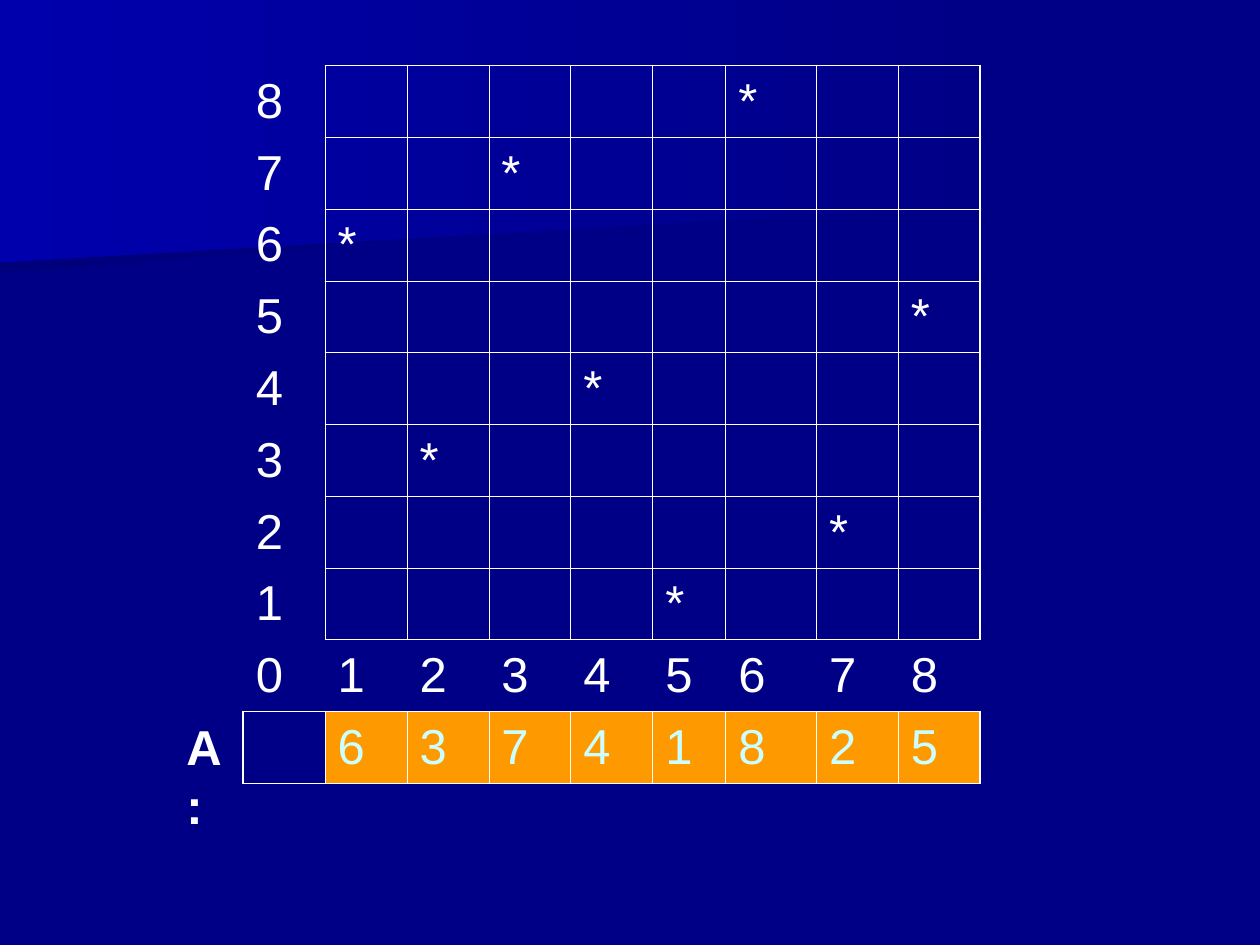
from dataclasses import dataclass

import pptx
import pptx.dml.color
import pptx.enum.text
import pptx.oxml
import pptx.oxml.ns
import pptx.util
from pptx.util import Inches


@dataclass(frozen=True)
class Theme:
    background: str = "000086"
    shade: str = "00007D"
    glow: str = "0000AC"
    text: str = "FFFFFF"
    value_text: str = "CCFFFF"
    value_fill: str = "FF9900"
    border: str = "FFFFFF"
    font: str = "Arial"
    size: int = 28
    thin: float = 0.45
    thick: float = 1.08


THEME = Theme()
VALUES = [6, 3, 7, 4, 1, 8, 2, 5]
COUNT = len(VALUES)
ROWS, COLUMNS = COUNT + 2, COUNT + 1
LABEL_ROW, ARRAY_ROW = COUNT, COUNT + 1
COLUMN_WIDTHS = [0.65] * 5 + [0.58, 0.72, 0.65, 0.65]
TABLE_HEIGHT = 5.7
NEIGHBOURS = {"lnL": (0, -1), "lnR": (0, 1), "lnT": (-1, 0), "lnB": (1, 0)}


def rgb(color):
    return pptx.dml.color.RGBColor.from_string(color)


def add_gradient_outline(slide, points, right_color, left_color):
    corners = [(Inches(x), Inches(y)) for x, y in points]
    builder = slide.shapes.build_freeform(*corners[0])
    builder.add_line_segments(corners[1:], close=True)
    shape = builder.convert_to_shape()
    shape.shadow.inherit = False
    shape.line.fill.background()
    shape.fill.gradient()
    shape.fill.gradient_angle = 180
    for stop, color in zip(shape.fill.gradient_stops, (right_color, left_color)):
        stop.color.rgb = rgb(color)


def add_run(paragraph, text, color, bold=False):
    run = paragraph.add_run()
    run.text = text
    run.font.name = THEME.font
    run.font.size = pptx.util.Pt(THEME.size)
    run.font.bold = bold
    run.font.color.rgb = rgb(color)


def is_boxed(row, column):
    """Tell whether a cell belongs to the plot grid or to the array."""
    in_grid = 0 <= row < LABEL_ROW and 1 <= column < COLUMNS
    return in_grid or (row == ARRAY_ROW and 0 <= column < COLUMNS)


def border_width(row, column, side):
    """Thick on the table's rim, thin beside any boxed cell, else 0."""
    down, across = NEIGHBOURS[side]
    next_row, next_column = row + down, column + across
    inside = 0 <= next_row < ROWS and 0 <= next_column < COLUMNS
    if is_boxed(row, column):
        return THEME.thin if inside else THEME.thick
    return THEME.thin if is_boxed(next_row, next_column) else 0


def set_borders(cell, row, column):
    properties = cell._tc.get_or_add_tcPr()
    namespace = pptx.oxml.ns.nsdecls("a")
    for side in NEIGHBOURS:
        width = border_width(row, column, side)
        fill = (f'<a:solidFill><a:srgbClr val="{THEME.border}"/></a:solidFill>'
                if width else "<a:noFill/>")
        properties.append(pptx.oxml.parse_xml(
            f'<a:{side} {namespace} w="{pptx.util.Pt(width)}">{fill}</a:{side}>'))


def cell_text(row, column):
    if row == ARRAY_ROW:
        return str(VALUES[column - 1]) if column else ""
    if row == LABEL_ROW:
        return str(column)
    level = COUNT - row
    if column == 0:
        return str(level)
    return "*" if VALUES[column - 1] == level else ""


def add_plot_table(slide):
    frame = slide.shapes.add_table(
        ROWS, COLUMNS, Inches(1.93), Inches(0.52),
        Inches(sum(COLUMN_WIDTHS)), Inches(TABLE_HEIGHT))
    table = frame.table
    table.first_row = table.horz_banding = False
    for table_column, width in zip(table.columns, COLUMN_WIDTHS):
        table_column.width = Inches(width)
    for row in range(ROWS):
        table.rows[row].height = Inches(TABLE_HEIGHT / ROWS)
        for column in range(COLUMNS):
            cell = table.cell(row, column)
            is_value = row == ARRAY_ROW and column > 0
            set_borders(cell, row, column)
            if is_value:
                cell.fill.solid()
                cell.fill.fore_color.rgb = rgb(THEME.value_fill)
            else:
                cell.fill.background()
            cell.vertical_anchor = pptx.enum.text.MSO_ANCHOR.MIDDLE
            text = cell_text(row, column)
            if text:
                color = THEME.value_text if is_value else THEME.text
                add_run(cell.text_frame.paragraphs[0], text, color)


def add_array_label(slide):
    box = slide.shapes.add_textbox(
        Inches(1.38), Inches(5.64), Inches(0.55), Inches(1.04))
    box.text_frame.word_wrap = True
    box.text_frame.auto_size = pptx.enum.text.MSO_AUTO_SIZE.SHAPE_TO_FIT_TEXT
    add_run(box.text_frame.paragraphs[0], "A:", THEME.text, bold=True)


def main():
    presentation = pptx.Presentation()
    presentation.slide_width = Inches(10)
    presentation.slide_height = Inches(7.5)
    slide = presentation.slides.add_slide(presentation.slide_layouts[6])
    slide.background.fill.solid()
    slide.background.fill.fore_color.rgb = rgb(THEME.background)
    add_gradient_outline(
        slide, [(7.78, 1.53), (0, 2.17), (0, 1.01), (7.79, 1.01)],
        THEME.background, THEME.shade)
    add_gradient_outline(
        slide, [(7.92, 1.62), (0, 2.08), (0, 0), (7.92, 0)],
        THEME.background, THEME.glow)
    add_plot_table(slide)
    add_array_label(slide)
    presentation.save("out.pptx")


if __name__ == "__main__":
    main()
